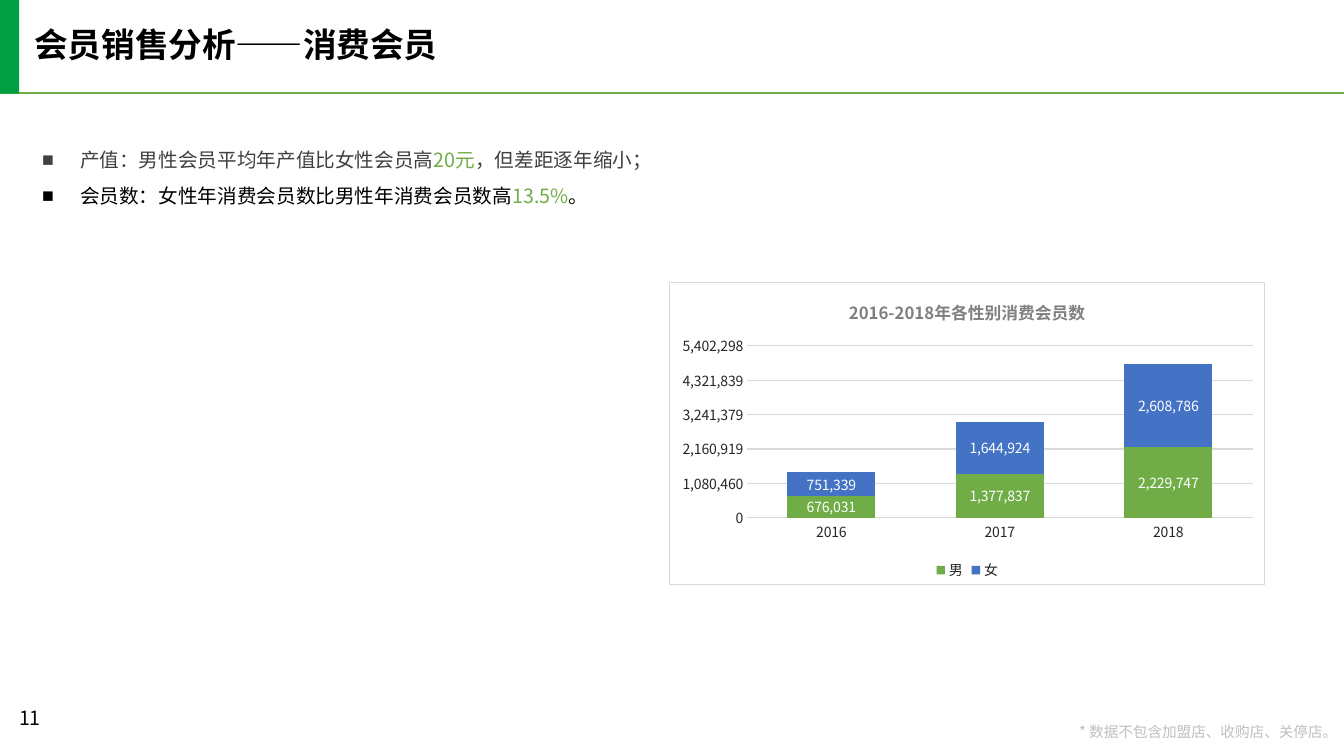
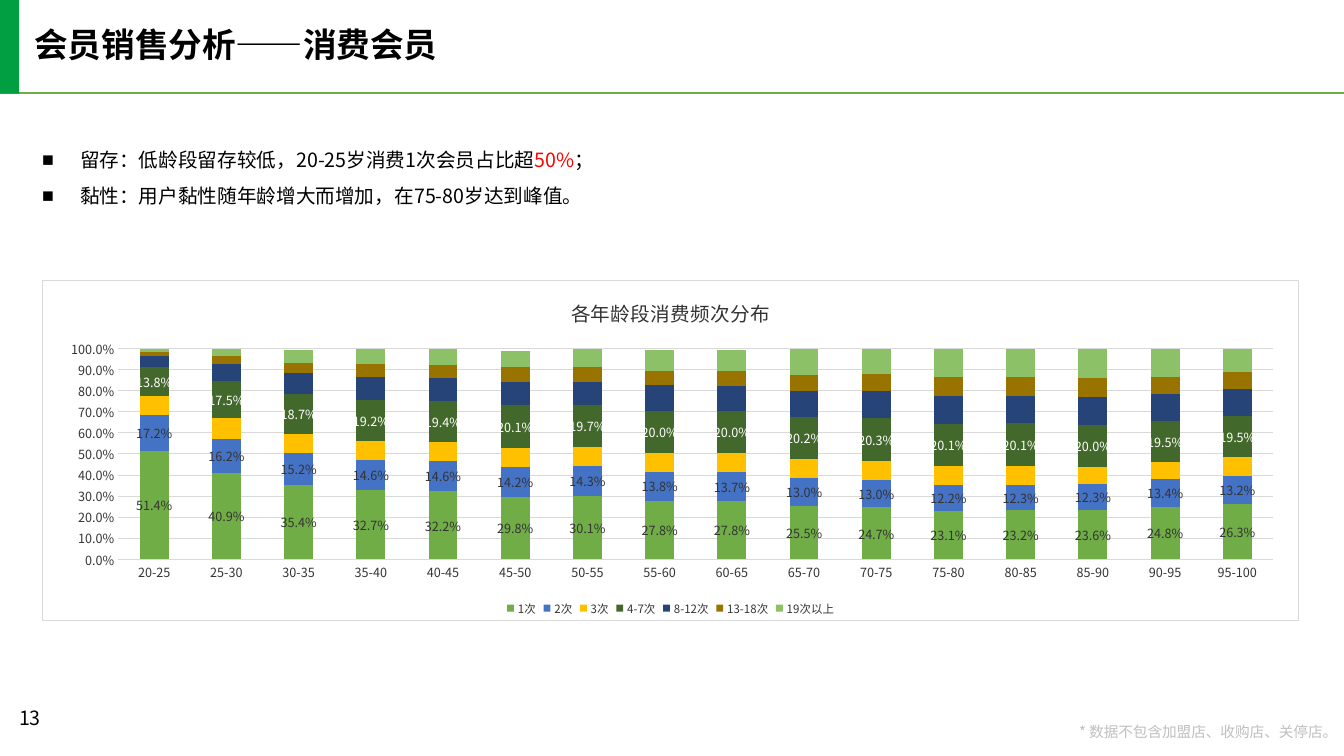
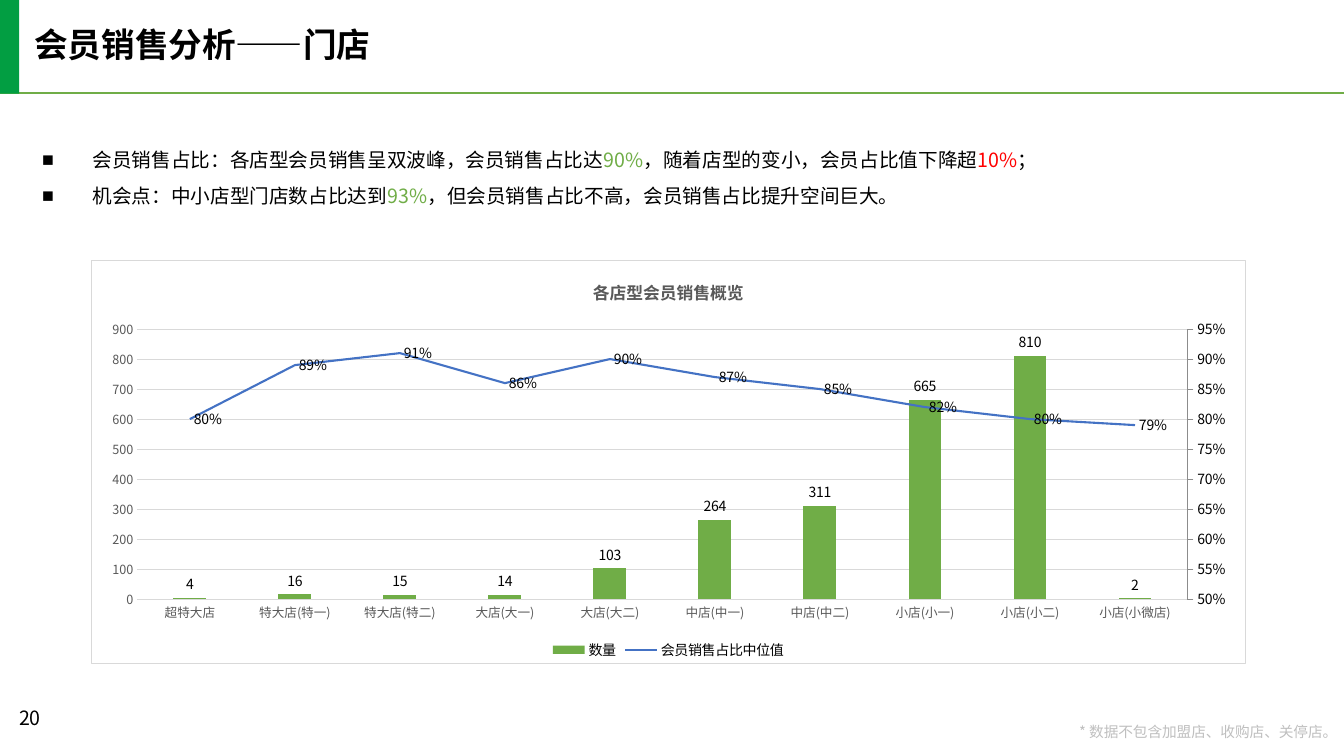
from dataclasses import dataclass
from typing import Any, Optional

from pptx import Presentation
from pptx.chart.axis import ValueAxis
from pptx.chart.chart import Chart
from pptx.chart.data import CategoryChartData
from pptx.dml.color import RGBColor
from pptx.enum.chart import (XL_CHART_TYPE, XL_LABEL_POSITION, XL_LEGEND_POSITION,
                             XL_MARKER_STYLE, XL_TICK_MARK)
from pptx.enum.shapes import MSO_CONNECTOR, MSO_SHAPE
from pptx.enum.text import MSO_ANCHOR, MSO_AUTO_SIZE, PP_ALIGN
from pptx.oxml import parse_xml
from pptx.oxml.ns import nsdecls, qn
from pptx.util import Pt

STACKED, CLUSTERED = XL_CHART_TYPE.COLUMN_STACKED, XL_CHART_TYPE.COLUMN_CLUSTERED
CENTER, OUTSIDE, RIGHT = (XL_LABEL_POSITION.CENTER, XL_LABEL_POSITION.OUTSIDE_END,
                          XL_LABEL_POSITION.RIGHT)
NO_TICK, TICK_OUT = XL_TICK_MARK.NONE, XL_TICK_MARK.OUTSIDE
TOP, MIDDLE = MSO_ANCHOR.TOP, MSO_ANCHOR.MIDDLE
ALIGN_LEFT, ALIGN_RIGHT = PP_ALIGN.LEFT, PP_ALIGN.RIGHT

FONT = "Noto Sans CJK SC"
GREEN, BLUE, RED, BLACK, WHITE = "70AD47", "4472C4", "FF0000", "000000", "FFFFFF"
BAND_GREEN, FOOTNOTE_GRAY, GRID_GRAY = "029E42", "BFBFBF", "D9D9D9"
INK, DARK, MID = "262626", "333333", "595959"
FOOTNOTE = "* 数据不包含加盟店、收购店、关停店。"

Box = tuple[float, float, float, float]
Run = tuple[str, str]


@dataclass
class TextStyle:
    size: float
    color: str
    bold: bool = False


@dataclass
class Labels:
    style: TextStyle
    position: Any
    number_format: str


@dataclass
class Series:
    name: str
    values: list[float]
    color: str
    labels: Optional[Labels] = None


@dataclass
class ChartSpec:
    box: Box
    plot: Box  # shares of the chart frame
    kind: Any
    title: str
    title_style: TextStyle
    axis_style: TextStyle
    legend_style: TextStyle
    categories: list[str]
    series: list[Series]
    gap: int
    maximum: float
    unit: float
    number_format: str
    right_line: bool = False


@dataclass
class Page:
    number: int
    title: str
    indent: float
    bullets: list[list[Run]]
    chart: ChartSpec


def rgb(value: str) -> RGBColor:
    return RGBColor.from_string(value)


def pts(box: Box) -> list[Pt]:
    return [Pt(length) for length in box]


def set_all(target: Any, values: dict[str, Any]) -> None:
    for attribute, value in values.items():
        setattr(target, attribute, value)


def style_font(font: Any, style: TextStyle) -> None:
    set_all(font, {"name": FONT, "size": Pt(style.size), "bold": style.bold})
    font.color.rgb = rgb(style.color)
    properties = font._element
    for old in properties.findall(qn("a:ea")):
        properties.remove(old)
    properties.find(qn("a:latin")).addnext(
        parse_xml(f'<a:ea {nsdecls("a")} typeface="{FONT}"/>'))


def style_line(line: Any, color: str, width: float) -> None:
    line.color.rgb = rgb(color)
    line.width = Pt(width)


def add_run(paragraph: Any, text: str, style: TextStyle) -> None:
    run = paragraph.add_run()
    run.text = text
    style_font(run.font, style)


def format_frame(frame: Any, anchor: Any = TOP, inset: bool = False, wrap: bool = True) -> None:
    set_all(frame, {"word_wrap": wrap, "auto_size": MSO_AUTO_SIZE.NONE,
                    "vertical_anchor": anchor})
    if not inset:
        sides = ("left", "top", "right", "bottom")
        set_all(frame, {f"margin_{side}": Pt(0) for side in sides})


def add_text(slide: Any, box: Box, text: str, style: TextStyle, align: Any = ALIGN_LEFT,
             spacing: float = 1.0, inset: bool = False, wrap: bool = True) -> None:
    frame = slide.shapes.add_textbox(*pts(box)).text_frame
    format_frame(frame, inset=inset, wrap=wrap)
    set_all(frame.paragraphs[0], {"alignment": align, "line_spacing": spacing})
    add_run(frame.paragraphs[0], text, style)


def add_frame(slide: Any, page: Page) -> None:
    """Rule, green band, title, page number and footnote of every slide."""
    rule = slide.shapes.add_connector(MSO_CONNECTOR.STRAIGHT, *pts((0, 66.2, 960, 66.2)))
    style_line(rule.line, GREEN, 1.5)
    rule._element.spPr.append(parse_xml(f'<a:effectLst {nsdecls("a")}/>'))

    title = slide.shapes.title
    set_all(title, dict(zip(("left", "top", "width", "height"), pts((24.5, 20.2, 453, 26)))))
    format_frame(title.text_frame)
    heading = title.text_frame.paragraphs[0]
    set_all(heading, {"alignment": ALIGN_LEFT, "line_spacing": 0.9})
    add_run(heading, page.title, TextStyle(24, BLACK, True))

    band = slide.shapes.add_shape(MSO_SHAPE.RECTANGLE, *pts((0, -0.7, 13.7, 67.7)))
    band.shadow.inherit = False
    band.fill.solid()
    band.fill.fore_color.rgb = rgb(BAND_GREEN)
    band.line.fill.background()

    add_text(slide, (767.5, 517.7, 188, 11.5), FOOTNOTE, TextStyle(10.5, FOOTNOTE_GRAY),
             ALIGN_RIGHT, 0.9, wrap=False)
    add_text(slide, (6.5, 500.4, 65.5, 28.8), str(page.number), TextStyle(14, BLACK), inset=True)


def add_bullets(slide: Any, bullets: list[list[Run]], indent: float) -> None:
    frame = slide.shapes.add_textbox(*pts((30.2, 97.2, 897.8, 51))).text_frame
    format_frame(frame, MIDDLE)
    for index, runs in enumerate(bullets):
        paragraph = frame.add_paragraph() if index else frame.paragraphs[0]
        paragraph.line_spacing = 1.5
        properties = paragraph._p.get_or_add_pPr()
        properties.set("marL", str(Pt(indent)))
        properties.set("indent", str(-Pt(indent)))
        properties.append(parse_xml(f'<a:buFont {nsdecls("a")} typeface="Arial"/>'))
        properties.append(parse_xml(f'<a:buChar {nsdecls("a")} char="■"/>'))
        for text, color in runs:
            add_run(paragraph, text, TextStyle(14, color))


def move_to_right_axis(chart: Chart) -> None:
    """Turn the last series into a line on a second value axis."""
    area = chart._chartSpace.chart.plotArea
    bars = area.find(qn("c:barChart"))
    series = bars.findall(qn("c:ser"))[-1]
    for flag in series.findall(qn("c:invertIfNegative")):
        series.remove(flag)
    line_plot = parse_xml(
        f'<c:lineChart {nsdecls("c")}><c:grouping val="standard"/><c:varyColors val="0"/>'
        '<c:marker val="1"/><c:axId val="5001"/><c:axId val="5002"/></c:lineChart>')
    line_plot.insert(2, series)
    bars.addnext(line_plot)
    value_axis = parse_xml(
        f'<c:valAx {nsdecls("c")}><c:axId val="5002"/><c:scaling/><c:delete val="0"/>'
        '<c:axPos val="r"/><c:majorTickMark val="out"/><c:minorTickMark val="none"/>'
        '<c:tickLblPos val="nextTo"/><c:crossAx val="5001"/><c:crosses val="max"/></c:valAx>')
    category_axis = parse_xml(
        f'<c:catAx {nsdecls("c")}><c:axId val="5001"/><c:scaling/><c:delete val="1"/>'
        '<c:axPos val="b"/><c:crossAx val="5002"/><c:crosses val="autoZero"/></c:catAx>')
    area.findall(qn("c:valAx"))[-1].addnext(value_axis)
    value_axis.addnext(category_axis)

    right = ValueAxis(value_axis)
    set_all(right, {"minimum_scale": 0.5, "maximum_scale": 0.95, "major_unit": 0.05,
                    "major_tick_mark": TICK_OUT, "has_major_gridlines": False})
    set_all(right.tick_labels, {"number_format": "0%", "number_format_is_linked": False})
    style_font(right.tick_labels.font, TextStyle(10, BLACK))
    style_line(right.format.line, "8C8C8C", 0.5)


def format_chart_area(chart: Chart, plot: Box) -> None:
    """White framed chart with a fixed inner plot area."""
    chart._chartSpace.chart.addnext(parse_xml(
        f'<c:spPr {nsdecls("c", "a")}><a:solidFill><a:srgbClr val="{WHITE}"/></a:solidFill>'
        f'<a:ln w="{Pt(0.75)}"><a:solidFill><a:srgbClr val="{GRID_GRAY}"/></a:solidFill></a:ln>'
        '</c:spPr>'))
    area = chart._chartSpace.chart.plotArea
    for old in area.findall(qn("c:layout")):
        area.remove(old)
    places = "".join(f'<c:{key} val="{share}"/>' for key, share in zip("xywh", plot))
    area.insert(0, parse_xml(
        f'<c:layout {nsdecls("c")}><c:manualLayout><c:layoutTarget val="inner"/>'
        f'<c:xMode val="edge"/><c:yMode val="edge"/>{places}</c:manualLayout></c:layout>'))


def format_series(series: Any, spec: Series, is_line: bool) -> None:
    if is_line:
        style_line(series.format.line, spec.color, 1.5)
        series.marker.style = XL_MARKER_STYLE.NONE
        series.smooth = False
    else:
        series.format.fill.solid()
        series.format.fill.fore_color.rgb = rgb(spec.color)
    if spec.labels:
        labels = series.data_labels
        set_all(labels, {"show_value": True, "position": spec.labels.position,
                         "number_format": spec.labels.number_format,
                         "number_format_is_linked": False})
        style_font(labels.font, spec.labels.style)


def add_chart(slide: Any, spec: ChartSpec) -> None:
    data = CategoryChartData()
    data.categories = spec.categories
    for item in spec.series:
        data.add_series(item.name, item.values)
    chart = slide.shapes.add_chart(spec.kind, *pts(spec.box), data).chart
    style_font(chart.font, spec.legend_style)
    format_chart_area(chart, spec.plot)

    # Title and legend
    chart.has_title = True
    add_run(chart.chart_title.text_frame.paragraphs[0], spec.title, spec.title_style)
    chart.has_legend = True
    set_all(chart.legend, {"position": XL_LEGEND_POSITION.BOTTOM, "include_in_layout": False})
    style_font(chart.legend.font, spec.legend_style)

    # Axes
    for axis in (chart.category_axis, chart.value_axis):
        axis.major_tick_mark = NO_TICK
        style_font(axis.tick_labels.font, spec.axis_style)
    style_line(chart.category_axis.format.line, GRID_GRAY, 0.75)
    values = chart.value_axis
    set_all(values, {"minimum_scale": 0, "maximum_scale": spec.maximum,
                     "major_unit": spec.unit, "has_major_gridlines": True})
    set_all(values.tick_labels, {"number_format": spec.number_format,
                                 "number_format_is_linked": False})
    values.format.line.fill.background()
    style_line(values.major_gridlines.format.line, GRID_GRAY, 0.75)

    # Plots and series
    set_all(chart.plots[0], {"gap_width": spec.gap, "vary_by_categories": False,
                             "overlap": 100 if spec.kind == STACKED else 0})
    if spec.right_line:
        move_to_right_axis(chart)
    drawn = [(series, index > 0) for index, plot in enumerate(chart.plots)
             for series in plot.series]
    for (series, is_line), item in zip(drawn, spec.series):
        format_series(series, item, is_line)


# Content
COUNT_LABELS = Labels(TextStyle(10, WHITE), CENTER, "#,##0")
SHARE_DARK = Labels(TextStyle(9, DARK), CENTER, "0.0%")
SHARE_LIGHT = Labels(TextStyle(9, WHITE), CENTER, "0.0%")

GENDER_CHART = ChartSpec(
    (478.1, 201.6, 425.5, 216), (0.13, 0.21, 0.85, 0.57), STACKED,
    "2016-2018年各性别消费会员数", TextStyle(12, "808080", True), TextStyle(10, INK),
    TextStyle(10, INK), ["2016", "2017", "2018"],
    [Series("男", [676031, 1377837, 2229747], GREEN, COUNT_LABELS),
     Series("女", [751339, 1644924, 2608786], BLUE, COUNT_LABELS)],
    91, 5402298.25, 1080459.65, "#,##0")

FREQUENCY_CHART = ChartSpec(
    (30.2, 200.2, 897.8, 243.4), (0.06, 0.2, 0.92, 0.62), STACKED,
    "各年龄段消费频次分布", TextStyle(14, DARK), TextStyle(9, DARK), TextStyle(8.2, DARK),
    [f"{age}-{age + 5}" for age in range(20, 100, 5)],
    [Series("1次", [0.514, 0.409, 0.354, 0.327, 0.322, 0.298, 0.301, 0.278, 0.278, 0.255, 0.247,
                   0.231, 0.232, 0.236, 0.248, 0.263], GREEN, SHARE_DARK),
     Series("2次", [0.172, 0.162, 0.152, 0.146, 0.146, 0.142, 0.143, 0.138, 0.137, 0.13, 0.13,
                   0.122, 0.123, 0.123, 0.134, 0.132], BLUE, SHARE_DARK),
     Series("3次", [0.09, 0.1, 0.09, 0.09, 0.09, 0.09, 0.09, 0.09, 0.09, 0.09, 0.09,
                   0.09, 0.09, 0.08, 0.08, 0.09], "FFC000"),
     Series("4-7次", [0.138, 0.175, 0.187, 0.192, 0.194, 0.201, 0.197, 0.2, 0.2, 0.202, 0.203,
                     0.201, 0.201, 0.2, 0.195, 0.195], "43682B", SHARE_LIGHT),
     Series("8-12次", [0.05, 0.08, 0.1, 0.11, 0.11, 0.11, 0.11, 0.12, 0.12, 0.12, 0.13,
                      0.13, 0.13, 0.13, 0.13, 0.13], "264478"),
     Series("13-18次", [0.02, 0.04, 0.05, 0.06, 0.06, 0.07, 0.07, 0.07, 0.07, 0.08, 0.08,
                       0.09, 0.09, 0.09, 0.08, 0.08], "997300"),
     Series("19次以上", [0.02, 0.04, 0.06, 0.08, 0.08, 0.08, 0.09, 0.1, 0.1, 0.12, 0.12,
                      0.14, 0.14, 0.14, 0.13, 0.12], "8CC168")],
    150, 1, 0.1, "0.0%")

STORE_CHART = ChartSpec(
    (64.8, 185.8, 825.1, 288.7), (0.04, 0.17, 0.91, 0.67), CLUSTERED,
    "各店型会员销售概览", TextStyle(12, MID, True), TextStyle(9, MID), TextStyle(10, BLACK),
    ["超特大店", "特大店(特一)", "特大店(特二)", "大店(大一)", "大店(大二)", "中店(中一)",
     "中店(中二)", "小店(小一)", "小店(小二)", "小店(小微店)"],
    [Series("数量", [4, 16, 15, 14, 103, 264, 311, 665, 810, 2], GREEN,
            Labels(TextStyle(10, BLACK), OUTSIDE, "General")),
     Series("会员销售占比中位值", [0.8, 0.89, 0.91, 0.86, 0.9, 0.87, 0.85, 0.82, 0.8, 0.79], BLUE,
            Labels(TextStyle(10, BLACK), RIGHT, "0%"))],
    219, 900, 100, "General", right_line=True)

PAGES = [
    Page(11, "会员销售分析——消费会员", 27, [
        [("产值：男性会员平均年产值比女性会员高", "404040"), ("20元", GREEN),
         ("，但差距逐年缩小；", "404040")],
        [("会员数：女性年消费会员数比男性年消费会员数高", BLACK), ("13.5%", GREEN), ("。", BLACK)],
    ], GENDER_CHART),
    Page(13, "会员销售分析——消费会员", 27, [
        [("留存：低龄段留存较低，20-25岁消费1次会员占比超", BLACK), ("50%", RED), ("；", BLACK)],
        [("黏性：用户黏性随年龄增大而增加，在75-80岁达到峰值。", BLACK)],
    ], FREQUENCY_CHART),
    Page(20, "会员销售分析——门店", 36, [
        [("会员销售占比：各店型会员销售呈双波峰，会员销售占比达", BLACK), ("90%", GREEN),
         ("，随着店型的变小，会员占比值下降超", BLACK), ("10%", RED), ("；", BLACK)],
        [("机会点：中小店型门店数占比达到", BLACK), ("93%", GREEN),
         ("，但会员销售占比不高，会员销售占比提升空间巨大。", BLACK)],
    ], STORE_CHART),
]


def main() -> None:
    deck = Presentation()
    set_all(deck, {"slide_width": Pt(960), "slide_height": Pt(540)})
    title_only = deck.slide_layouts[5]
    for page in PAGES:
        slide = deck.slides.add_slide(title_only)
        add_frame(slide, page)
        add_bullets(slide, page.bullets, page.indent)
        add_chart(slide, page.chart)
    deck.save("out.pptx")


if __name__ == "__main__":
    main()
